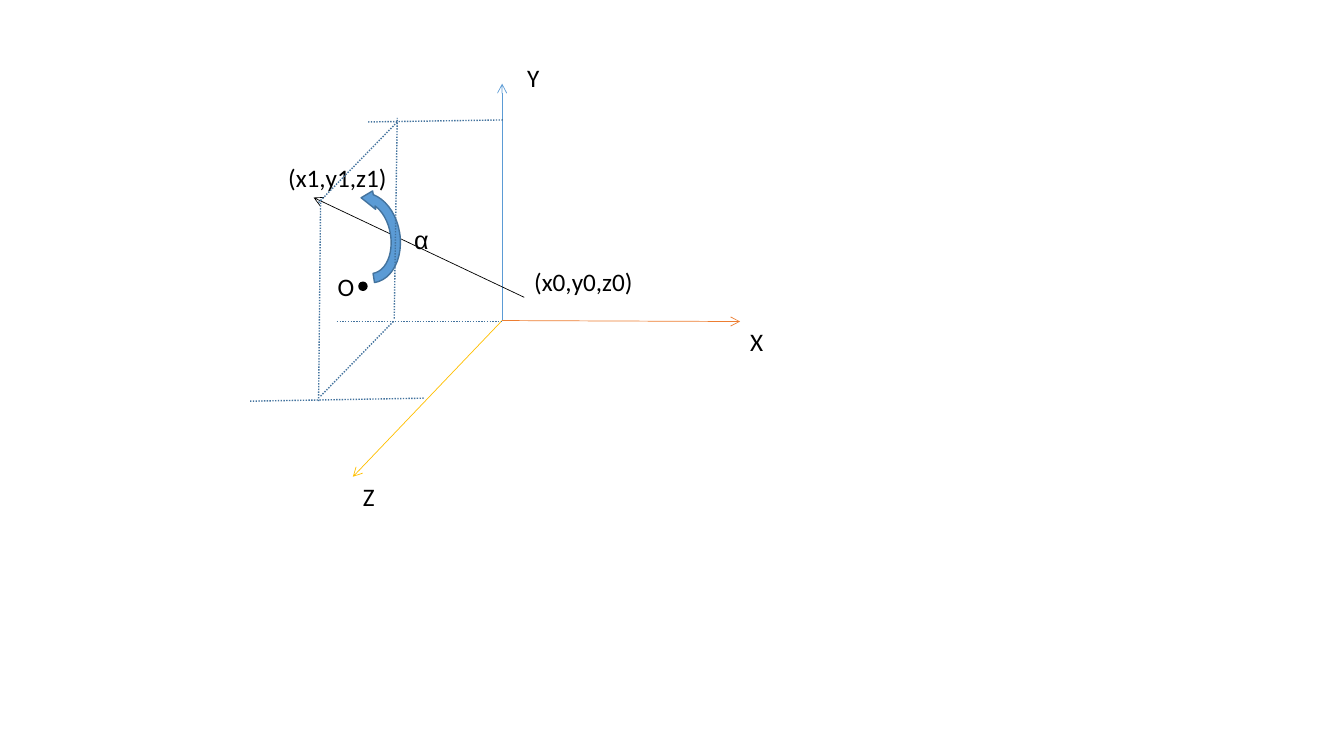
from dataclasses import dataclass
from typing import Optional

from lxml import etree
from pptx import Presentation
from pptx import util as u
from pptx.dml.color import RGBColor
from pptx.enum import dml, shapes, text
from pptx.oxml.ns import qn

PX = 9144


@dataclass(frozen=True)
class Theme:
    ink: str = "000000"
    x_axis: str = "ED7D31"
    y_axis: str = "5B9BD5"
    z_axis: str = "FFC000"
    turn: str = "5B9BD5"
    guide: str = "43739E"
    latin: str = "Calibri"
    greek: str = "Arial"
    size: int = 18
    thin: float = 0.5
    regular: float = 1


THEME = Theme()


@dataclass(frozen=True)
class Arrow:
    start: tuple[int, int]
    end: tuple[int, int]
    color: str


@dataclass(frozen=True)
class Guide:
    start: tuple[int, int]
    end: tuple[int, int]


@dataclass(frozen=True)
class Label:
    text: str
    left: int
    top: int
    width: int
    font: str = THEME.latin


@dataclass(frozen=True)
class Solid:
    kind: shapes.MSO_SHAPE
    box: tuple[int, int, int, int]
    fill: str
    line: str
    rotation: Optional[int] = None


ORIGIN = (498, 318)
LABEL_HEIGHT = 40

AXES = [
    Arrow(ORIGIN, (498, 83), THEME.y_axis),
    Arrow(ORIGIN, (734, 319), THEME.x_axis),
    Arrow(ORIGIN, (350, 473), THEME.z_axis),
]
AXIS_LABELS = [
    Label("Y", 513, 57, 51),
    Label("X", 734, 319, 51),
    Label("Z", 350, 473, 51),
]
VECTOR = Arrow((520, 295), (311, 196), THEME.ink)
POINT_LABELS = [
    Label("(x1,y1,z1)", 276, 156, 119),
    Label("O", 325, 264, 444),
]
CENTER_DOT = Solid(shapes.MSO_SHAPE.OVAL, (356, 280, 8, 8), THEME.ink, THEME.ink)
TURN = Solid(shapes.MSO_SHAPE.CIRCULAR_ARROW, (315, 199, 99, 74), THEME.turn, THEME.guide, 81)
GUIDES = [
    Guide((248, 398), (421, 395)),
    Guide((316, 398), (318, 198)),
    Guide((365, 121), (499, 119)),
    Guide((391, 316), (394, 117)),
    Guide((334, 319), (498, 319)),
    Guide((316, 201), (394, 121)),
    Guide((318, 393), (391, 318)),
]
FRONT_LABELS = [
    Label("α", 401, 218, 444, THEME.greek),
    Label("(x0,y0,z0)", 520, 259, 119),
]


def px(*lengths: int) -> list[u.Emu]:
    return [u.Emu(n * PX) for n in lengths]


def rgb(color: str) -> RGBColor:
    return RGBColor.from_string(color)


def add_line(slide, start: tuple[int, int], end: tuple[int, int], color: str, width: float):
    c = slide.shapes.add_connector(shapes.MSO_CONNECTOR.STRAIGHT, *px(*start, *end))
    c.line.color.rgb = rgb(color)
    c.line.width = u.Pt(width)
    etree.SubElement(c._element.spPr, qn("a:effectLst"))
    return c


def draw_arrow(slide, arrow: Arrow) -> None:
    c = add_line(slide, arrow.start, arrow.end, arrow.color, THEME.thin)
    etree.SubElement(c.get_or_add_ln(), qn("a:tailEnd"), type="arrow")


def draw_guide(slide, guide: Guide) -> None:
    c = add_line(slide, guide.start, guide.end, THEME.guide, THEME.regular)
    c.line.dash_style = dml.MSO_LINE.ROUND_DOT


def draw_label(slide, label: Label) -> None:
    sp = slide.shapes.add_textbox(*px(label.left, label.top, label.width, LABEL_HEIGHT))
    tf = sp.text_frame
    tf.word_wrap = True
    tf.auto_size = text.MSO_AUTO_SIZE.SHAPE_TO_FIT_TEXT
    tf.text = label.text
    r = tf.paragraphs[0].runs[0]
    r.font.name = label.font
    r.font.size = u.Pt(THEME.size)
    r.font.color.rgb = rgb(THEME.ink)


def draw_solid(slide, solid: Solid):
    sp = slide.shapes.add_shape(solid.kind, *px(*solid.box))
    sp.shadow.inherit = False
    sp.fill.solid()
    sp.fill.fore_color.rgb = rgb(solid.fill)
    sp.line.color.rgb = rgb(solid.line)
    sp.line.width = u.Pt(THEME.regular)
    if solid.rotation is not None:
        sp.rotation = solid.rotation
    return sp


def main() -> None:
    prs = Presentation()
    prs.slide_width, prs.slide_height = px(1333, 750)
    s = prs.slides.add_slide(prs.slide_layouts[6])

    for axis in AXES:
        draw_arrow(s, axis)
    for label in AXIS_LABELS:
        draw_label(s, label)
    draw_arrow(s, VECTOR)
    for label in POINT_LABELS:
        draw_label(s, label)
    draw_solid(s, CENTER_DOT)
    turn = draw_solid(s, TURN)
    turn._element.spPr.find(qn("a:xfrm")).set("flipH", "1")
    for guide in GUIDES:
        draw_guide(s, guide)
    for label in FRONT_LABELS:
        draw_label(s, label)

    prs.save("out.pptx")


if __name__ == "__main__":
    main()
